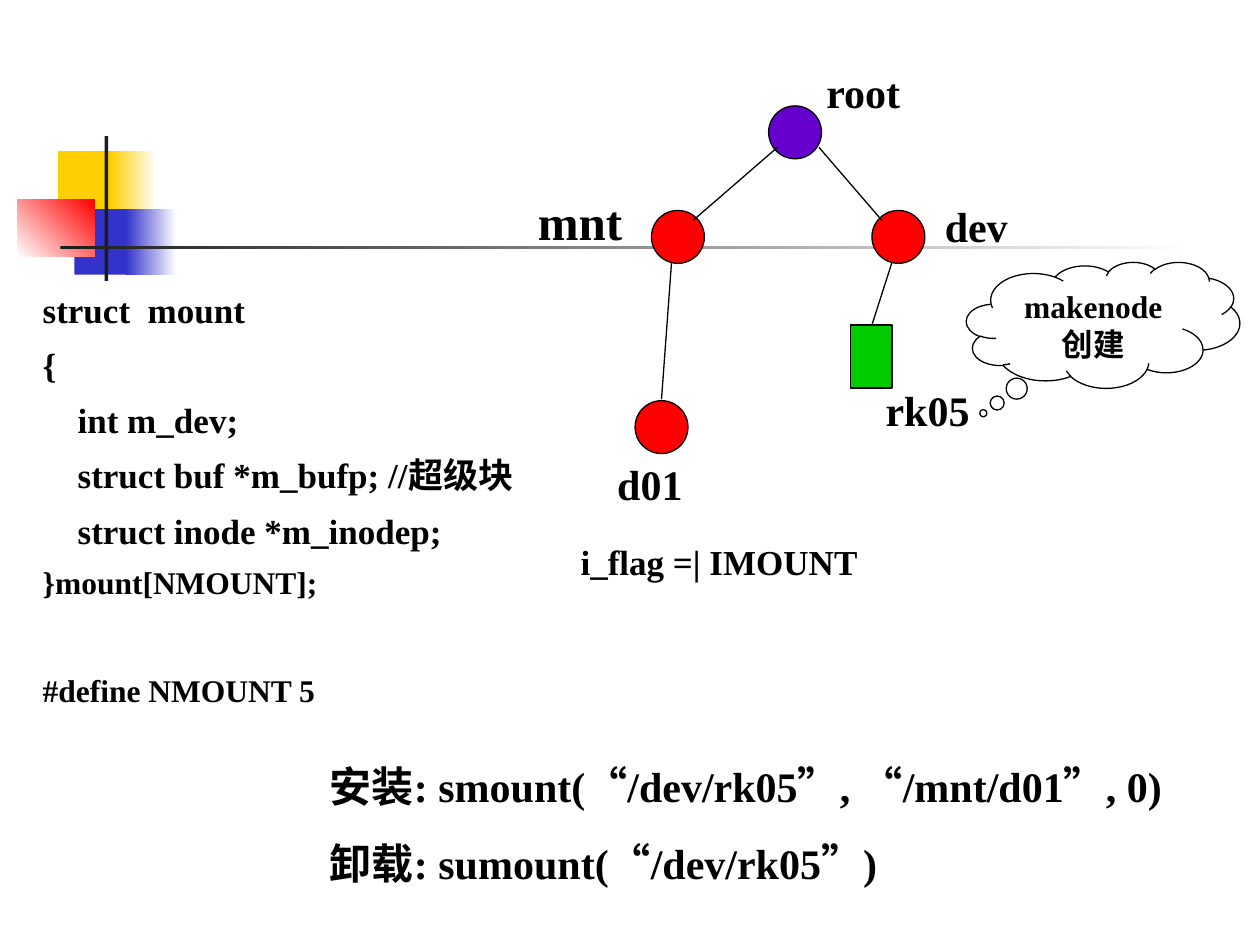
from pptx import Presentation
from pptx.dml.color import RGBColor
from pptx.enum.shapes import MSO_CONNECTOR, MSO_SHAPE as Shape
from pptx.enum.text import MSO_ANCHOR, PP_ALIGN
from pptx.oxml.ns import qn
from pptx.util import Inches, Pt
from lxml import etree

FONT = "Times New Roman"
WHITE = RGBColor(0xFF, 0xFF, 0xFF)
BLACK = RGBColor(0, 0, 0)
CHARCOAL = RGBColor(0x1C, 0x1C, 0x1C)
YELLOW = RGBColor(0xFF, 0xCF, 0x01)
BLUE = RGBColor(0x33, 0x33, 0xCC)
RED = RGBColor(0xFF, 0, 0)
PURPLE = RGBColor(0x66, 0, 0xCC)
GREEN = RGBColor(0, 0xCC, 0)

# Box, then one colour, or a start colour, end colour and angle
ORNAMENT = [
    ((0.46, 1.2, 0.48, 0.52), YELLOW),
    ((0.88, 1.2, 0.36, 0.52), (YELLOW, WHITE, 0)),
    ((0.59, 1.66, 0.46, 0.52), BLUE),
    ((1, 1.66, 0.4, 0.52), (BLUE, WHITE, 0)),
    ((0.14, 1.58, 0.61, 0.46), (WHITE, RED, 45)),
    ((0.83, 1.08, 0.03, 1.15), CHARCOAL),
    ((0.48, 1.95, 9, 0.03), (CHARCOAL, WHITE, 0)),
]

NODE_SIZE = 0.42
DIRECTORIES = [
    (6.1, 0.84, PURPLE),
    (5.17, 1.67, RED),
    (6.92, 1.67, RED),
    (5.04, 3.18, RED),
]
DEVICE_FILE = (6.75, 2.58, 0.33, 0.5)
BRANCHES = [
    ((6.5, 1.17), (7, 1.75)),
    ((7.08, 2.08), (6.92, 2.58)),
    ((6.17, 1.17), (5.5, 1.75)),
    ((5.33, 2.08), (5.25, 3.17)),
]

CLOUD = ((7.67, 2.08, 2.17, 1), "makenode创建", (-0.438, 0.7))

# Box, then lines of (text, size, space before)
TEXTS = [
    ((0.24, 2.24, 4.09, 3.43), [
        ("struct  mount", 20, 0),
        ("{", 20, 7.5),
        ("    int m_dev;", 20, 7.5),
        ("    struct buf *m_bufp; //超级块", 20, 7.5),
        ("    struct inode *m_inodep;", 20, 7.5),
        ("}mount[NMOUNT];", 18, 6.8),
        ("#define NMOUNT 5", 18, 40),
    ]),
    ((6.46, 0.48, 0.82, 0.5), [("root", 24, 0)]),
    ((4.17, 1.47, 0.94, 0.57), [("mnt", 28, 0)]),
    ((7.4, 1.54, 0.75, 0.5), [("dev", 24, 0)]),
    ((6.93, 3, 0.91, 0.5), [("rk05", 24, 0)]),
    ((4.8, 3.59, 0.78, 0.5), [("d01", 24, 0)]),
    ((2.52, 5.99, 7.09, 1.11), [
        ("安装: smount(“/dev/rk05”, “/mnt/d01”, 0)", 24, 0),
        ("卸载: sumount(“/dev/rk05”)", 24, 15),
    ]),
    ((4.51, 4.24, 2.83, 0.44), [("i_flag =| IMOUNT", 20, 0)]),
]


def add_box(slide, kind, box, fill, outlined=True):
    shape = slide.shapes.add_shape(kind, *map(Inches, box))
    shape.shadow.inherit = False
    if isinstance(fill, tuple) and not isinstance(fill, RGBColor):
        *colours, angle = fill
        shape.fill.gradient()
        shape.fill.gradient_angle = angle
        for stop, colour in zip(shape.fill.gradient_stops, colours):
            stop.color.rgb = colour
    else:
        shape.fill.solid()
        shape.fill.fore_color.rgb = fill
    if outlined:
        shape.line.color.rgb = BLACK
        shape.line.width = Pt(0.75)
    else:
        shape.line.fill.background()
    return shape


def write_line(paragraph, text, size, space_before=0, align=PP_ALIGN.LEFT):
    paragraph.alignment = align
    paragraph.space_before = Pt(space_before)
    run = paragraph.add_run()
    run.text = text
    font_format = {"name": FONT, "size": Pt(size), "bold": True}
    for attribute, value in font_format.items():
        setattr(run.font, attribute, value)
    run.font.color.rgb = BLACK


def add_text(slide, box, lines):
    frame = slide.shapes.add_textbox(*map(Inches, box)).text_frame
    frame.word_wrap = True
    for i, line in enumerate(lines):
        write_line(frame.add_paragraph() if i else frame.paragraphs[0], *line)


def add_branch(slide, start, end):
    branch = slide.shapes.add_connector(
        MSO_CONNECTOR.STRAIGHT, *map(Inches, start + end))
    branch.line.color.rgb = BLACK
    branch.line.width = Pt(0.75)
    etree.SubElement(branch._element.spPr, qn("a:effectLst"))


def add_cloud(slide, box, text, tail):
    cloud = add_box(slide, Shape.CLOUD_CALLOUT, box, WHITE)
    for i, offset in enumerate(tail):
        cloud.adjustments[i] = offset
    frame = cloud.text_frame
    frame.word_wrap = True
    frame.vertical_anchor = MSO_ANCHOR.TOP
    write_line(frame.paragraphs[0], text, 18, align=PP_ALIGN.CENTER)


def main():
    deck = Presentation()
    deck.slide_width, deck.slide_height = Inches(10), Inches(7.5)
    slide = deck.slides.add_slide(deck.slide_layouts[6])
    for box, fill in ORNAMENT:
        add_box(slide, Shape.RECTANGLE, box, fill, outlined=False)
    for left, top, colour in DIRECTORIES:
        add_box(slide, Shape.OVAL, (left, top, NODE_SIZE, NODE_SIZE), colour)
    add_box(slide, Shape.RECTANGLE, DEVICE_FILE, GREEN)
    for start, end in BRANCHES:
        add_branch(slide, start, end)
    add_cloud(slide, *CLOUD)
    for box, lines in TEXTS:
        add_text(slide, box, lines)
    deck.save("out.pptx")


if __name__ == "__main__":
    main()
